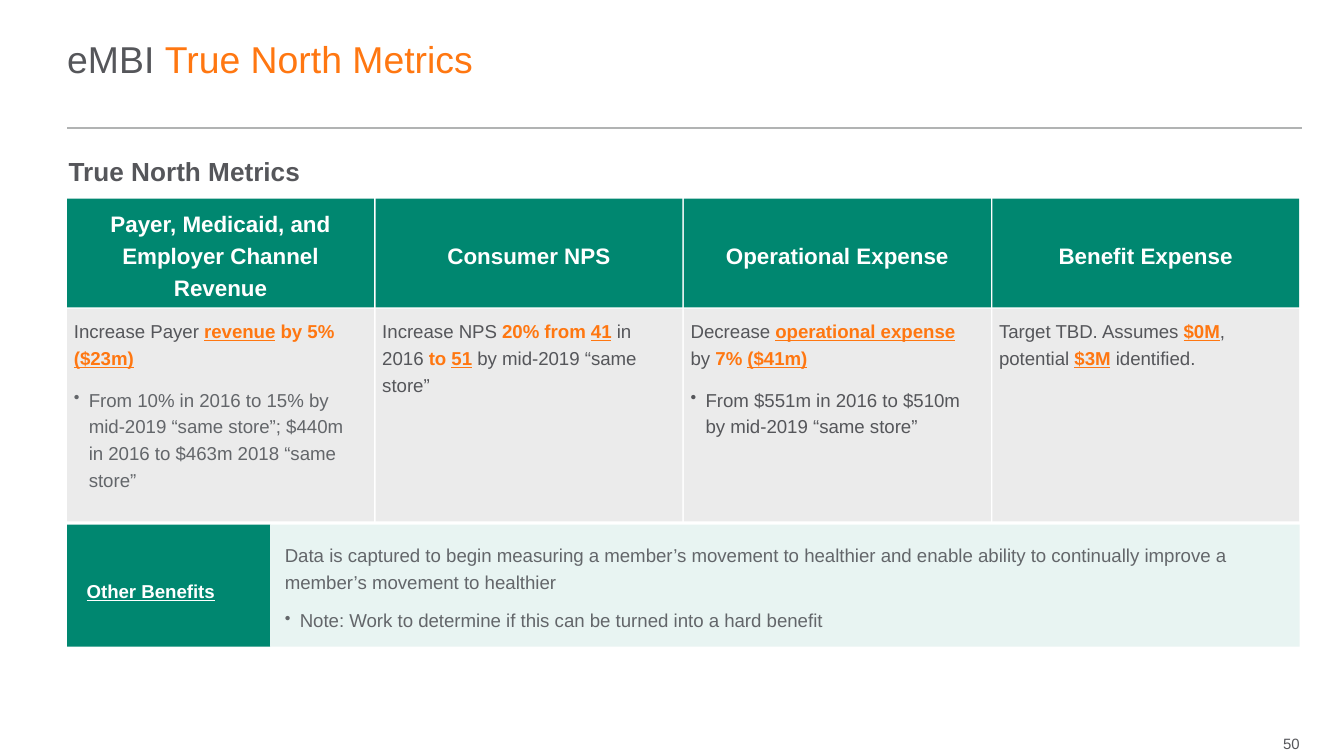
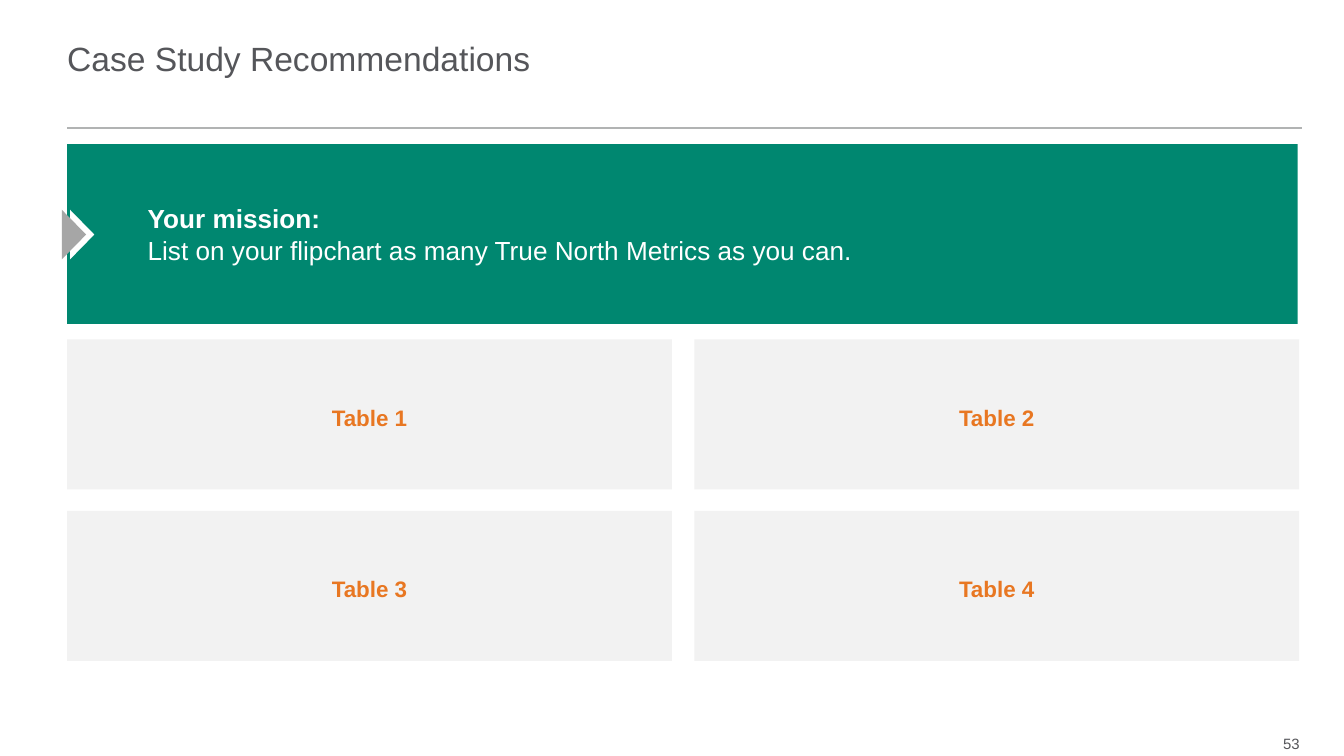
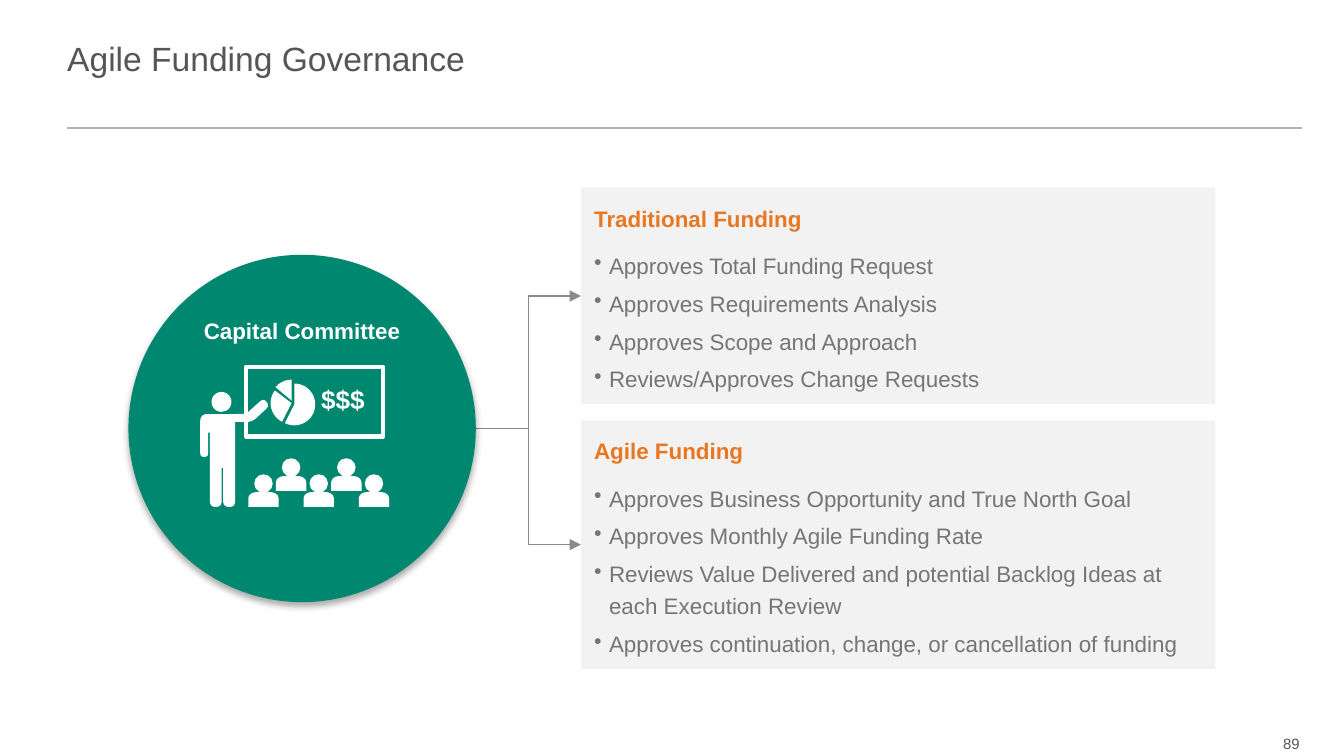
import math

import pptx
import pptx.dml.color
import pptx.enum.shapes
import pptx.enum.text
import pptx.oxml
import pptx.oxml.ns
import pptx.util

Pt = pptx.util.Pt
RGBColor = pptx.dml.color.RGBColor
SHAPE = pptx.enum.shapes.MSO_SHAPE
CONNECTOR = pptx.enum.shapes.MSO_CONNECTOR
ALIGN = pptx.enum.text.PP_ALIGN
ANCHOR = pptx.enum.text.MSO_ANCHOR

GREEN = RGBColor(0x00, 0x87, 0x70)
MINT = RGBColor(0xE8, 0xF4, 0xF2)
ORANGE = RGBColor(0xFF, 0x77, 0x11)
AMBER = RGBColor(0xE8, 0x77, 0x22)
WHITE = RGBColor(0xFF, 0xFF, 0xFF)
TEXT_GRAY = RGBColor(0x55, 0x56, 0x5A)
SOFT_GRAY = RGBColor(0x63, 0x66, 0x6A)
LIST_GRAY = RGBColor(0x75, 0x75, 0x75)
RULE_GRAY = RGBColor(0xB1, 0xB3, 0xB3)
ARROW_GRAY = RGBColor(0x88, 0x8B, 0x8D)
CHEVRON_GRAY = RGBColor(0xA6, 0xA6, 0xA6)
CELL_GRAY = RGBColor(0xD9, 0xD9, 0xD9)
PANEL_GRAY = RGBColor(0xF2, 0xF2, 0xF2)

FONT = "Arial"
LEFT = 36
DEFAULT_INSETS = (7.2, 3.6, 7.2, 3.6)
NO_INSETS = (0, 0, 0, 0)

# Run styles
PLAIN = {}
BOLD = {"bold": True}
KEY = {"bold": True, "color": ORANGE}
KEY_LINE = {"bold": True, "color": ORANGE, "underline": True}
SOFT = {"color": SOFT_GRAY}

# Paragraph styles
SPACED = {"line_spacing": 1.2}


def lead(space_after):
    return {**SPACED, "space_after": Pt(space_after)}


def bullet(space_after, percent=100):
    return {**lead(space_after), "bullet": percent}


# Slide content: a paragraph is (paragraph style, [(text, run style), ...])
METRICS_TITLE = [("eMBI ", PLAIN), ("True North Metrics", {"color": ORANGE})]
METRICS_HEADING = "True North Metrics"
METRICS = [
    ("Payer, Medicaid, and Employer Channel Revenue", [
        (lead(8), [("Increase Payer ", PLAIN), ("revenue", KEY_LINE),
                   (" by 5% ", KEY), ("($23m)", KEY_LINE)]),
        (bullet(3, 90), [("From 10% in 2016 to 15% by mid-2019 “same store”; "
                          "$440m in 2016 to $463m 2018 “same store”", SOFT)]),
    ]),
    ("Consumer NPS", [
        (SPACED, [("Increase NPS ", PLAIN), ("20% from ", KEY), ("41", KEY_LINE),
                  (" in 2016 ", PLAIN), ("to ", KEY), ("51", KEY_LINE),
                  (" by mid-2019 “same store”", PLAIN)]),
    ]),
    ("Operational Expense", [
        (lead(8), [("Decrease ", PLAIN), ("operational expense", KEY_LINE),
                   (" by ", PLAIN), ("7% ", KEY), ("($41m)", KEY_LINE)]),
        (bullet(6, 90), [("From $551m in 2016 to $510m by mid-2019 “same store”",
                          PLAIN)]),
    ]),
    ("Benefit Expense", [
        (SPACED, [("Target TBD. Assumes ", PLAIN), ("$0M", KEY_LINE),
                  (", potential ", PLAIN), ("$3M", KEY_LINE),
                  (" identified.", PLAIN)]),
    ]),
]
OTHER_LABEL = "Other Benefits"
OTHER_BENEFITS = [
    (lead(6), [("Data is captured to begin measuring a member’s movement to healthier "
                "and enable ability to continually improve a member’s movement to "
                "healthier", PLAIN)]),
    (bullet(6, 90), [("Note: Work to determine if this can be turned into a hard "
                      "benefit", PLAIN)]),
]

MISSION_TITLE = [("Case Study Recommendations", PLAIN)]
MISSION = [
    ("Your mission:", BOLD),
    ("List on your flipchart as many True North Metrics as you can.", PLAIN),
]
TEAM_TABLES = ["Table 1", "Table 2", "Table 3", "Table 4"]

FUNDING_TITLE = [("Agile Funding Governance", PLAIN)]
COMMITTEE = "Capital Committee"
FUNDING_PANELS = [  # heading, top, height, arrow end, duties
    ("Traditional Funding", 100.6, 116, 158.6, [
        "Approves Total Funding Request",
        "Approves Requirements Analysis",
        "Approves Scope and Approach",
        "Reviews/Approves Change Requests",
    ]),
    ("Agile Funding", 225.2, 133.2, 291.8, [
        "Approves Business Opportunity and True North Goal",
        "Approves Monthly Agile Funding Rate",
        "Reviews Value Delivered and potential Backlog Ideas at each Execution Review",
        "Approves continuation, change, or cancellation of funding",
    ]),
]

# Icon outlines: (x, y, corner radius)
PRESENTER_BODY = [
    (131, 221.8, 4), (107.3, 221.8, 4), (107.3, 244.8, 2.2), (111.6, 244.8, 2.2),
    (111.6, 231.8, 0), (112.5, 231.8, 0), (112.5, 271.6, 3.2), (118.8, 271.6, 3.2),
    (118.8, 250.6, 0), (119.6, 250.6, 0), (119.6, 271.6, 3.2), (126, 271.6, 3.2),
    (126, 226, 0), (131, 225.4, 0),
]
PRESENTER_ARM = [
    (124.6, 221.8, 2.2), (131.8, 221.8, 0), (141.2, 213.4, 2.5),
    (144.4, 217.4, 2.5), (135, 226.1, 3), (124.6, 226.1, 2.2),
]
PIE_RADIUS = 11.2
PIE_SLICES = [  # centre x, centre y, first angle, last angle
    (156.2, 216, 117, 217),
    (157.7, 216.7, -90, 117),
    (156.2, 214.6, 220, 270),
]
AUDIENCE_LEFT, AUDIENCE_STEP, AUDIENCE_COUNT = 133, 14.8, 5


def make_element(tag, **attributes):
    element = pptx.oxml.parse_xml(f"<{tag} {pptx.oxml.ns.nsdecls('a')}/>")
    for name, value in attributes.items():
        element.set(name, str(value))
    return element


def format_paragraph(paragraph, style):
    properties = paragraph._p.get_or_add_pPr()
    for name, value in style.items():
        if name == "bullet":
            properties.set("marL", str(Pt(8)))
            properties.set("indent", str(-Pt(8)))
            properties.append(make_element("a:buSzPct", val=value * 1000))
            properties.append(make_element("a:buChar", char="•"))
        elif name == "margin":
            properties.set("marL", str(Pt(value)))
            properties.set("indent", "0")
        else:
            setattr(paragraph, name, value)


def write(shape, paragraphs, size, color, insets=DEFAULT_INSETS, anchor=ANCHOR.MIDDLE):
    frame = shape.text_frame
    frame.word_wrap = True
    frame.vertical_anchor = anchor
    for side, inset in zip(("left", "top", "right", "bottom"), insets):
        setattr(frame, f"margin_{side}", Pt(inset))
    for index, (style, runs) in enumerate(paragraphs):
        paragraph = frame.paragraphs[0] if index == 0 else frame.add_paragraph()
        format_paragraph(paragraph, {"alignment": ALIGN.LEFT, **style})
        for text, run_style in runs:
            run = paragraph.add_run()
            run.text = text
            font = {"name": FONT, "size": Pt(size), "bold": False, **run_style}
            run.font.color.rgb = font.pop("color", color)
            for name, value in font.items():
                setattr(run.font, name, value)


def paint(shape, fill):
    shape.shadow.inherit = False
    shape.line.fill.background()
    shape.fill.solid()
    shape.fill.fore_color.rgb = fill
    return shape


def add_block(slide, box, fill, kind=SHAPE.RECTANGLE):
    return paint(slide.shapes.add_shape(kind, *map(Pt, box)), fill)


def add_text(slide, box, paragraphs, size, color, **layout):
    write(slide.shapes.add_textbox(*map(Pt, box)), paragraphs, size, color, **layout)


def add_outline(slide, points, fill):
    corners = [(Pt(x), Pt(y)) for x, y in points]
    builder = slide.shapes.build_freeform(*corners[0])
    builder.add_line_segments(corners[1:], close=True)
    paint(builder.convert_to_shape(), fill)


def add_line(slide, kind, ends, color, width):
    line = slide.shapes.add_connector(kind, *map(Pt, ends))
    line.line.color.rgb = color
    line.line.width = Pt(width)
    line._element.spPr.append(make_element("a:effectLst"))
    return line


def round_corners(vertices, steps=6):
    """Replace each (x, y, radius) vertex by points along a quadratic curve."""
    points = []
    for index, (x, y, radius) in enumerate(vertices):
        if not radius:
            points.append((x, y))
            continue
        ends = []
        for near_x, near_y, _ in (vertices[index - 1],
                                  vertices[(index + 1) % len(vertices)]):
            share = min(radius / math.hypot(near_x - x, near_y - y), 0.5)
            ends.append((x + (near_x - x) * share, y + (near_y - y) * share))
        for step in range(steps + 1):
            t = step / steps
            points.append(tuple(
                (1 - t) ** 2 * start + 2 * t * (1 - t) * corner + t ** 2 * end
                for start, corner, end in zip(ends[0], (x, y), ends[1])))
    return points


def pie_slice(x, y, first, last, steps=24):
    angles = [math.radians(first + (last - first) * step / steps)
              for step in range(steps + 1)]
    return [(x, y)] + [(x + PIE_RADIUS * math.cos(angle),
                        y + PIE_RADIUS * math.sin(angle)) for angle in angles]


def add_slide(presentation, title, title_size, number):
    """Add a slide with the shared rule, title and page number."""
    slide = presentation.slides.add_slide(presentation.slide_layouts[6])
    add_line(slide, CONNECTOR.STRAIGHT, (LEFT, 68.6, 697.6, 68.6), RULE_GRAY, 1)
    add_text(slide, (LEFT, 5, 528, 52.6), [(PLAIN, title)], title_size, TEXT_GRAY,
             insets=NO_INSETS)
    add_text(slide, (666, 391, 30.3, 14.4),
             [({"alignment": ALIGN.RIGHT}, [(str(number), PLAIN)])], 8, TEXT_GRAY,
             insets=NO_INSETS)
    return slide


def build_metrics(presentation):
    slide = add_slide(presentation, METRICS_TITLE, 20, 50)
    add_text(slide, (36.8, 80, 630, 18.7), [(lead(6), [(METRICS_HEADING, BOLD)])],
             14, TEXT_GRAY, insets=NO_INSETS, anchor=ANCHOR.TOP)
    width, step = 164.4, 165.2
    for column, (heading, goals) in enumerate(METRICS):
        left = LEFT + column * step
        header = add_block(slide, (left, 106.4, width, 58.3), GREEN)
        write(header, [({**lead(3), "alignment": ALIGN.CENTER}, [(heading, BOLD)])],
              12, WHITE)
        body = add_block(slide, (left, 165.4, width, 114), CELL_GRAY)
        fill_color = body._element.spPr.find(".//" + pptx.oxml.ns.qn("a:srgbClr"))
        fill_color.append(make_element("a:alpha", val=50000))
        write(body, goals, 10, TEXT_GRAY, insets=(3.6, 3.6, 7.2, 3.6),
              anchor=ANCHOR.TOP)
    label = add_block(slide, (LEFT, 281, 108.7, 65.5), GREEN)
    write(label, [(PLAIN, [(OTHER_LABEL, {"bold": True, "underline": True})])],
          10, WHITE, insets=(10.4, 14.4, 10.4, 8.6))
    benefits = add_block(slide, (144.7, 281, 551.5, 65.5), MINT)
    write(benefits, OTHER_BENEFITS, 10, SOFT_GRAY, insets=(7.9, 6.5, 7.9, 6.5))


def build_mission(presentation):
    slide = add_slide(presentation, MISSION_TITLE, 18, 53)
    banner = add_block(slide, (LEFT, 77.2, 659.2, 96.4), GREEN)
    write(banner, [({"margin": 36}, [line]) for line in MISSION], 14, WHITE)
    top, height, width = 112.4, 26.6, 13
    for left, color in ((37.5, WHITE), (33.1, CHEVRON_GRAY)):
        add_outline(slide, [(left, top), (left, top + height),
                            (left + width, top + height / 2)], color)
    for index, name in enumerate(TEAM_TABLES):
        row, column = divmod(index, 2)
        panel = add_block(slide, (LEFT + column * 336, 181.9 + row * 91.8, 324, 80.4),
                          PANEL_GRAY)
        write(panel, [({**lead(4), "alignment": ALIGN.CENTER}, [(name, BOLD)])],
              12, AMBER, insets=(6.5,) * 4)


def draw_meeting_icon(slide):
    for pie in PIE_SLICES:
        add_outline(slide, pie_slice(*pie), WHITE)
    board = add_block(slide, (131.8, 196.6, 73.6, 37.3), WHITE)
    board.fill.background()
    board.line.color.rgb = WHITE
    board.line.width = Pt(2.25)
    add_outline(slide, round_corners(PRESENTER_ARM), WHITE)
    add_block(slide, (113.3, 210, 10.7, 10.7), WHITE, SHAPE.OVAL)
    add_outline(slide, round_corners(PRESENTER_BODY), WHITE)
    add_text(slide, (164.9, 201.6, 41.8, 24.5), [(PLAIN, [("$$$", BOLD)])], 14, WHITE,
             anchor=ANCHOR.TOP)
    for seat in range(AUDIENCE_COUNT):
        left = AUDIENCE_LEFT + seat * AUDIENCE_STEP
        right = left + 16.3
        top = 255 if seat % 2 else 263.6
        add_outline(slide, round_corners([(left, top + 8, 0), (left, top, 5.6),
                                          (right, top, 5.6), (right, top + 8, 0)]),
                    WHITE)
        add_block(slide, (left + 3.2, top - 9.5, 9.9, 9.9), WHITE, SHAPE.OVAL)


def build_funding(presentation):
    slide = add_slide(presentation, FUNDING_TITLE, 18, 89)
    panel_left, circle_right, circle_middle = 311.2, 254.9, 229.5
    for heading, top, height, arrow_end, duties in FUNDING_PANELS:
        panel = add_block(slide, (panel_left, top, 339.9, height), PANEL_GRAY)
        paragraphs = [(lead(8), [(heading, BOLD)])]
        paragraphs += [(bullet(3), [(duty, {"color": LIST_GRAY})]) for duty in duties]
        write(panel, paragraphs, 12, AMBER, insets=(7.2,) * 4)
        arrow = add_line(slide, CONNECTOR.ELBOW,
                         (circle_right, circle_middle, panel_left, arrow_end),
                         ARROW_GRAY, 0.75)
        arrow.line._get_or_add_ln().append(make_element("a:tailEnd", type="triangle"))
    circle = add_block(slide, (68.8, 136.5, 186.1, 186.1), GREEN, SHAPE.OVAL)
    shadow = make_element("a:outerShdw", blurRad=Pt(3.5), dist=Pt(2.2), dir=5400000,
                          rotWithShape=0)
    shadow_color = make_element("a:srgbClr", val="000000")
    shadow_color.append(make_element("a:alpha", val=32000))
    shadow.append(shadow_color)
    circle._element.spPr.find(pptx.oxml.ns.qn("a:effectLst")).append(shadow)
    write(circle, [({**SPACED, "alignment": ALIGN.CENTER}, [(COMMITTEE, BOLD)])],
          12, WHITE, anchor=ANCHOR.TOP)
    draw_meeting_icon(slide)


def main():
    presentation = pptx.Presentation()
    presentation.slide_width = Pt(720)
    presentation.slide_height = Pt(405)
    build_metrics(presentation)
    build_mission(presentation)
    build_funding(presentation)
    presentation.save("out.pptx")


if __name__ == "__main__":
    main()
